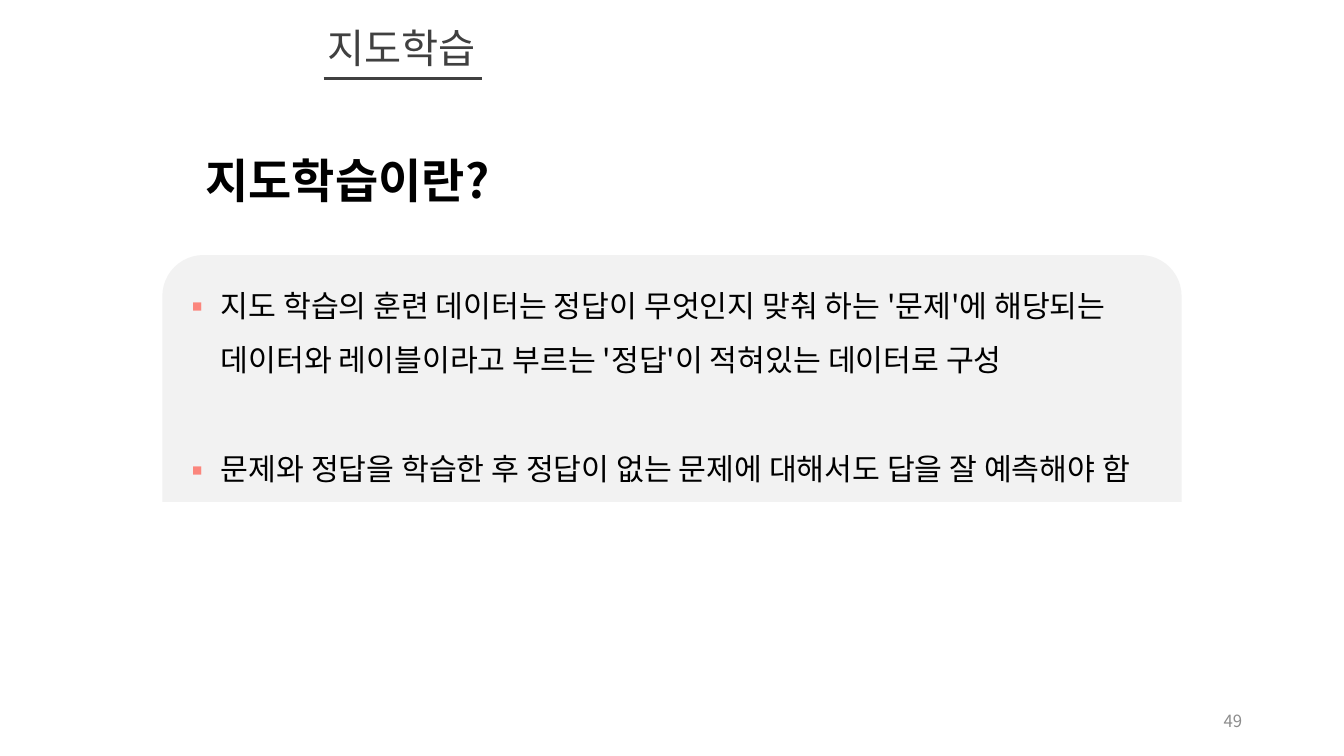
from lxml import etree
from pptx import Presentation
from pptx.dml import color
from pptx.enum import shapes, text
from pptx.oxml import ns
from pptx.util import Inches, Pt

WIDTH, HEIGHT = 13.33, 7.5
FONT = "Noto Sans CJK KR"
COLORS = {"ink": "000000", "header": "404040", "number": "8C8C8C",
          "panel": "F2F2F2", "bullet": "FB867D"}
STYLES = {
    "header": {"size": Pt(28.8), "bold": False, "color": "header"},
    "heading": {"size": Pt(33.6), "bold": True, "color": "ink"},
    "body": {"size": Pt(21.6), "bold": False, "color": "ink"},
    "number": {"size": Pt(12), "bold": False, "color": "number"},
}
POINTS = [
    "지도 학습의 훈련 데이터는 정답이 무엇인지 맞춰 하는 '문제'에 해당되는 "
    "데이터와 레이블이라고 부르는 '정답'이 적혀있는 데이터로 구성",
    "문제와 정답을 학습한 후 정답이 없는 문제에 대해서도 답을 잘 예측해야 함",
]


def rgb(name):
    return color.RGBColor.from_string(COLORS[name])


def add_child(parent, tag, **attributes):
    return etree.SubElement(parent, ns.qn(tag), attributes)


def place(shape, box):
    for side, length in zip(("left", "top", "width", "height"), box):
        setattr(shape, side, Inches(length))


def write(paragraph, words, style, align):
    paragraph.alignment = align
    run = paragraph.add_run()
    run.text = words
    values = STYLES[style]
    for name, value in {"name": FONT, "size": values["size"],
                        "bold": values["bold"]}.items():
        setattr(run.font, name, value)
    run.font.color.rgb = rgb(values["color"])
    add_child(run.font._element, "a:ea", typeface=FONT)


def set_frame(shape, wrap=True, anchor=text.MSO_ANCHOR.TOP):
    frame = shape.text_frame
    values = {"auto_size": text.MSO_AUTO_SIZE.NONE, "word_wrap": wrap,
              "vertical_anchor": anchor}
    for name, value in values.items():
        setattr(frame, name, value)
    return frame


def add_header(slide, box):
    """Centred title with a rule just under it."""
    left, top, width, height = box
    title = slide.shapes.title
    place(title, box)
    frame = set_frame(title, wrap=False)
    write(frame.paragraphs[0], "지도학습", "header", text.PP_ALIGN.CENTER)

    # Rule
    inset, rule_y = 0.13, top + height + 0.01
    rule = slide.shapes.add_connector(
        shapes.MSO_CONNECTOR.STRAIGHT, Inches(left + inset), Inches(rule_y),
        Inches(left + width - inset + 0.02), Inches(rule_y))
    rule.line.color.rgb = rgb("header")
    rule.line.width = Pt(2)
    add_child(rule._element.spPr, "a:effectLst")


def add_label(slide, box, words, style, align, **frame_values):
    label = slide.shapes.add_textbox(*map(Inches, box))
    frame = set_frame(label, **frame_values)
    write(frame.paragraphs[0], words, style, align)


def add_bullet(paragraph, indent):
    properties = paragraph._p.get_or_add_pPr()
    properties.set("marL", str(Inches(indent)))
    properties.set("indent", str(Inches(-indent)))
    bullet_color = add_child(properties, "a:buClr")
    add_child(bullet_color, "a:srgbClr", val=COLORS["bullet"])
    add_child(properties, "a:buFont", typeface=FONT)
    add_child(properties, "a:buChar", char="▪")


def add_points(slide, box):
    """Grey panel with the bulleted list on top of it."""
    left, top, width, height = box
    body = slide.placeholders[1]
    place(body, (left + 0.1, top + 0.09, width - 0.19, height + 0.31))

    # Panel, behind the list
    panel = slide.shapes.add_shape(
        shapes.MSO_SHAPE.ROUND_2_SAME_RECTANGLE, *map(Inches, box))
    panel.shadow.inherit = False
    panel.fill.solid()
    panel.fill.fore_color.rgb = rgb("panel")
    panel.line.fill.background()
    body.element.addprevious(panel.element)

    # List
    frame = set_frame(body)
    for index, point in enumerate(POINTS):
        paragraph = frame.add_paragraph() if index else frame.paragraphs[0]
        add_bullet(paragraph, indent=0.38)
        paragraph.line_spacing = 1.5
        paragraph.space_before = Pt(39 if index else 0)
        write(paragraph, point, "body", text.PP_ALIGN.LEFT)


def main():
    presentation = Presentation()
    presentation.slide_width = Inches(WIDTH)
    presentation.slide_height = Inches(HEIGHT)
    slide = presentation.slides.add_slide(presentation.slide_layouts[1])

    add_header(slide, (3.08, 0.18, 1.81, 0.59))
    add_points(slide, (1.61, 2.53, 10.11, 2.45))
    add_label(slide, (1.82, 1.45, 3.25, 0.67), "지도학습이란?", "heading",
              text.PP_ALIGN.CENTER, wrap=False)
    add_label(slide, (9.42, 6.95, 3, 0.4), "49", "number",
              text.PP_ALIGN.RIGHT, anchor=text.MSO_ANCHOR.MIDDLE)
    presentation.save("out.pptx")


if __name__ == "__main__":
    main()
